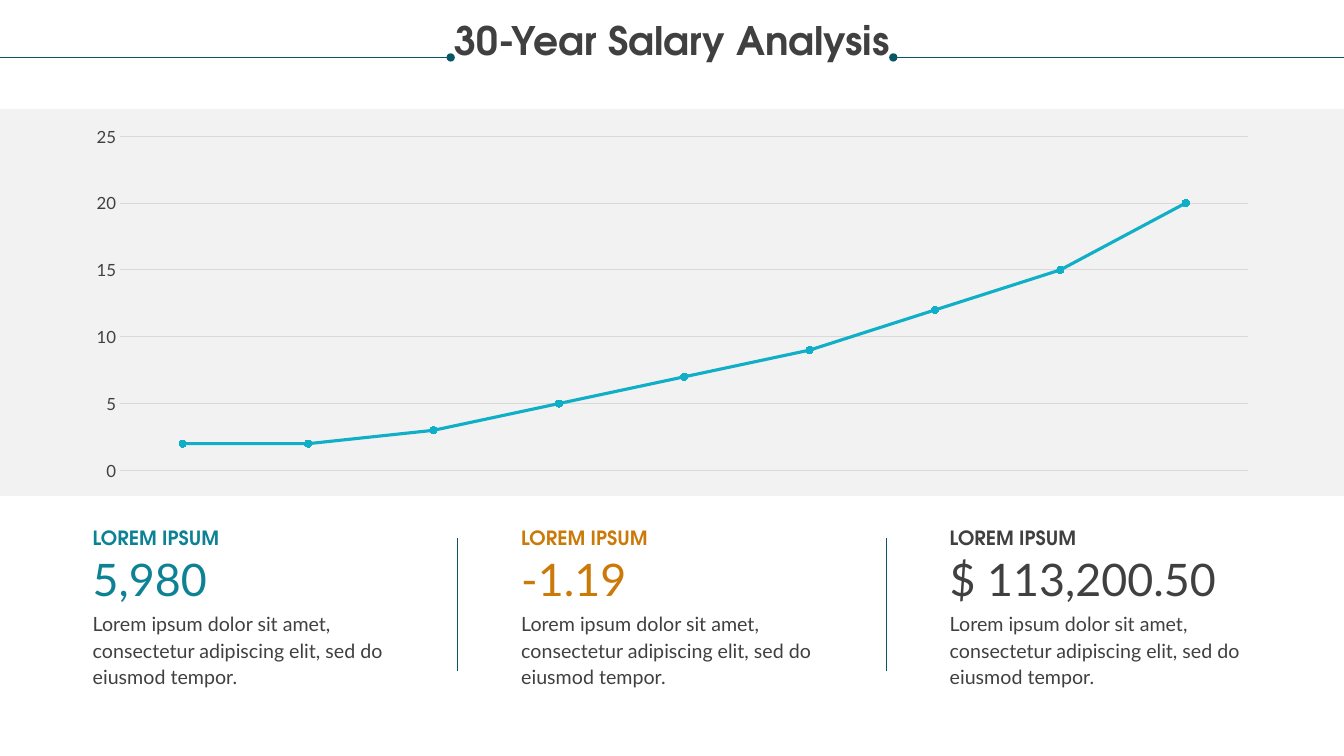
from lxml import etree
from pptx import Presentation
from pptx.chart import data as chart_data
from pptx.dml import color as dml_color
from pptx.enum import chart as chart_enum, shapes, text
from pptx.oxml import ns
from pptx.util import Inches, Pt

HEADING_FONT = "TeX Gyre Adventor"
BODY_FONT = "Lato"
DARK, TEAL, ORANGE, CYAN = "404040", "0D8295", "CB7A09", "11AEC7"
RULE_COLOR = "085764"


def rgb(value):
    return dml_color.RGBColor.from_string(value)


def add_line(x1, y1, x2, y2, dot=None):
    """Draw a thin rule; dot is "headEnd" or "tailEnd" for a round end."""
    line = slide.shapes.add_connector(
        shapes.MSO_CONNECTOR.STRAIGHT, Inches(x1), Inches(y1), Inches(x2), Inches(y2))
    line.line.color.rgb = rgb(RULE_COLOR)
    line.line.width = Pt(0.5)
    properties = line.line._get_or_add_ln().getparent()
    etree.SubElement(properties, ns.qn("a:effectLst"))
    if dot:
        etree.SubElement(line.line._get_or_add_ln(), ns.qn(f"a:{dot}"), type="oval")


presentation = Presentation()
presentation.slide_width = Inches(13.33)
presentation.slide_height = Inches(7.5)
slide = presentation.slides.add_slide(presentation.slide_layouts[5])

# Chart band
band = slide.shapes.add_shape(
    shapes.MSO_SHAPE.RECTANGLE, 0, Inches(1.08), Inches(13.33), Inches(3.84))
band.shadow.inherit = False
band.fill.solid()
band.fill.fore_color.rgb = rgb("F2F2F2")
band.line.fill.background()

# Title between two dotted rules
title = slide.shapes.title
title.left, title.top = Inches(0.25), Inches(0.21)
title.width, title.height = Inches(12.83), Inches(0.42)
frame = title.text_frame
frame.text = "30-Year Salary Analysis"
frame.margin_left = frame.margin_right = frame.margin_top = frame.margin_bottom = 0
frame.vertical_anchor = text.MSO_ANCHOR.MIDDLE
frame.auto_size = text.MSO_AUTO_SIZE.NONE
paragraph = frame.paragraphs[0]
paragraph.alignment = text.PP_ALIGN.CENTER
paragraph.line_spacing = 0.9
paragraph.font.name = HEADING_FONT
paragraph.font.size = Pt(28)
paragraph.font.bold = True
paragraph.font.color.rgb = rgb(DARK)
add_line(0, 0.57, 4.47, 0.57, "tailEnd")
add_line(8.86, 0.57, 13.33, 0.57, "headEnd")

# Salary chart
salaries = [2, 2, 3, 5, 7, 9, 12, 15, 20]
salary_data = chart_data.CategoryChartData()
salary_data.categories = [str(number) for number in range(1, len(salaries) + 1)]
salary_data.add_series("Series 1", salaries)
chart = slide.shapes.add_chart(
    chart_enum.XL_CHART_TYPE.LINE_MARKERS,
    Inches(0.72), Inches(1.18), Inches(11.9), Inches(3.66), salary_data).chart
chart.has_legend = False
chart.has_title = False
chart.font.name = BODY_FONT
chart.font.size = Pt(12)
chart.font.color.rgb = rgb(DARK)
chart.category_axis.visible = False

value_axis = chart.value_axis
value_axis.minimum_scale, value_axis.maximum_scale, value_axis.major_unit = 0, 25, 5
value_axis.major_tick_mark = chart_enum.XL_TICK_MARK.NONE
value_axis.minor_tick_mark = chart_enum.XL_TICK_MARK.NONE
value_axis.format.line.fill.background()
value_axis.major_gridlines.format.line.color.rgb = rgb("D9D9D9")
value_axis.major_gridlines.format.line.width = Pt(0.75)

plot = chart.plots[0]
plot.vary_by_categories = False
series = plot.series[0]
series.smooth = False
series.format.line.color.rgb = rgb(CYAN)
series.format.line.width = Pt(2.25)
series.marker.style = chart_enum.XL_MARKER_STYLE.CIRCLE
series.marker.size = 5
series.marker.format.fill.solid()
series.marker.format.fill.fore_color.rgb = rgb(CYAN)
series.marker.format.line.color.rgb = rgb(CYAN)

# Three key figures, with dividers between them
COLUMN_LEFT, COLUMN_STEP, COLUMN_WIDTH = 0.92, 4.25, 3
DESCRIPTION = ("Lorem ipsum dolor sit amet, consectetur adipiscing elit, "
               "sed do eiusmod tempor.")
figures = [("5,980", TEAL), ("-1.19", ORANGE), ("$ 113,200.50", DARK)]
for column, (figure, accent) in enumerate(figures):
    left = COLUMN_LEFT + column * COLUMN_STEP
    if column:
        add_line(left - 0.63, 5.34, left - 0.63, 6.66)
    rows = [
        ("LOREM IPSUM", 5.19, 0.24, HEADING_FONT, 14, True, accent, Pt(19)),
        (figure, 5.47, 0.54, BODY_FONT, 32, False, accent, None),
        (DESCRIPTION, 6.04, 0.78, BODY_FONT, 14, False, DARK, Pt(19)),
    ]
    for words, top, height, font_name, size, bold, color, spacing in rows:
        box = slide.shapes.add_textbox(
            Inches(left), Inches(top), Inches(COLUMN_WIDTH), Inches(height))
        frame = box.text_frame
        frame.word_wrap = True
        frame.margin_left = frame.margin_right = frame.margin_top = frame.margin_bottom = 0
        frame.text = words
        paragraph = frame.paragraphs[0]
        paragraph.line_spacing = spacing
        paragraph.font.name = font_name
        paragraph.font.size = Pt(size)
        paragraph.font.bold = bold
        paragraph.font.color.rgb = rgb(color)

presentation.save("out.pptx")
